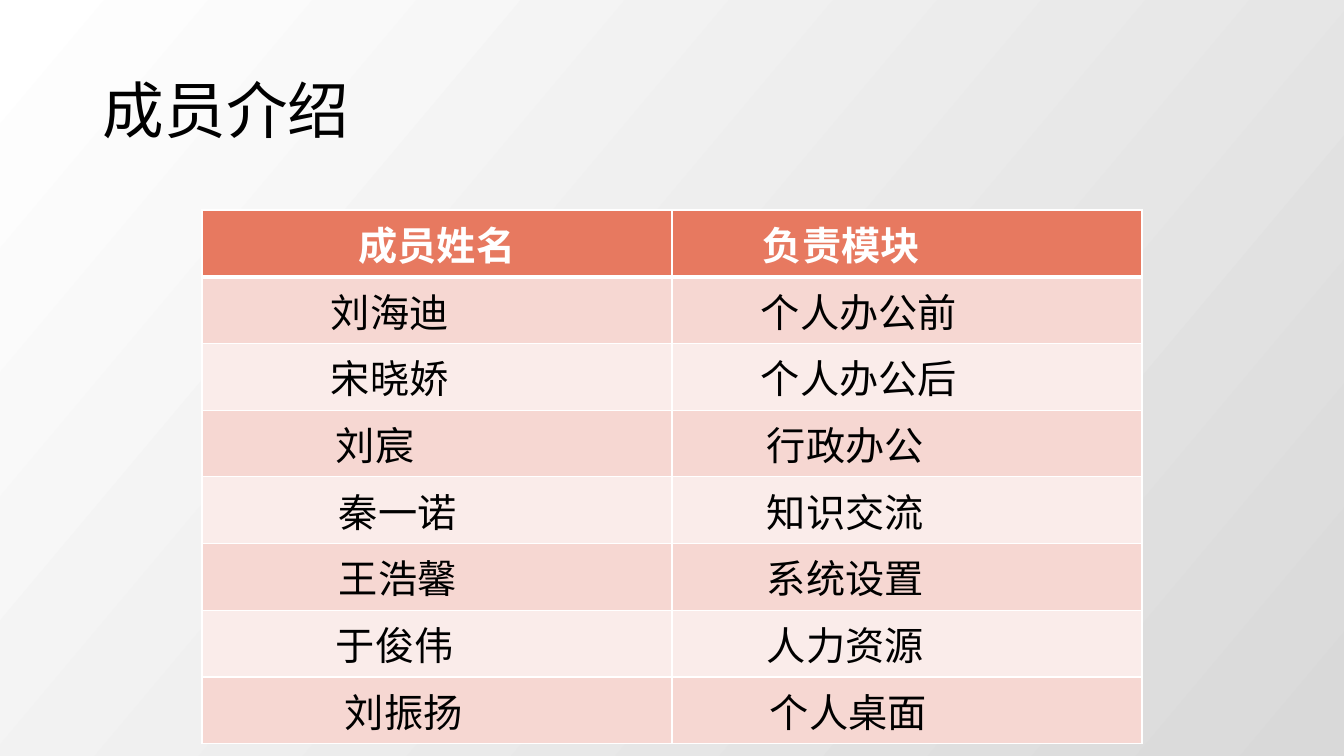
import pptx
import pptx.util
import pptx.dml.color
import pptx.enum.text
import pptx.oxml
import pptx.oxml.ns

PX = 9144000 / 1008  # EMU in one px
PAD = 10
WHITE, BLACK = "FFFFFF", "000000"
HEAD, BANDS = "E77960", ("F6D7D2", "FAECEA")

# Name, its indent, module, its indent (px)
TEAM = [
    ("刘海迪", 119, "个人办公前", 79),
    ("宋晓娇", 119, "个人办公后", 79),
    ("刘宸", 124, "行政办公", 85),
    ("秦一诺", 127, "知识交流", 85),
    ("王浩馨", 127, "系统设置", 85),
    ("于俊伟", 124, "人力资源", 85),
    ("刘振扬", 133, "个人桌面", 88),
]


def px(num):
    return pptx.util.Emu(round(num * PX))


def rgb(code):
    return pptx.dml.color.RGBColor.from_string(code)


def style(para, size, code, bold=False):
    for run in para.runs:
        font = run.font
        font.name = "Arial"
        font.size = pptx.util.Pt(size)
        font.bold = bold
        font.color.rgb = rgb(code)


def paint(slide):
    fill = slide.background.fill
    fill.gradient()
    fill.gradient_angle = 320
    for stop, code in zip(fill.gradient_stops, (WHITE, "D9D9D9")):
        stop.color.rgb = rgb(code)


def title(slide, text, left, top, width, height):
    box = slide.shapes.add_textbox(px(left), px(top), px(width), px(height))
    frame = box.text_frame
    frame.word_wrap = True
    frame.vertical_anchor = pptx.enum.text.MSO_ANCHOR.MIDDLE
    frame.text = text
    para = frame.paragraphs[0]
    para.line_spacing = 0.9
    style(para, 44, BLACK)


def edge(cell, widths):
    props = cell._tc.get_or_add_tcPr()
    for spot, (side, width) in enumerate(widths.items()):
        line = pptx.oxml.parse_xml(
            f'<a:ln{side} {pptx.oxml.ns.nsdecls("a")} w="{pptx.util.Pt(width)}">'
            f'<a:solidFill><a:srgbClr val="{WHITE}"/></a:solidFill></a:ln{side}>'
        )
        props.insert(spot, line)


def entry(cell, text, indent, fill, code, over=1, under=1, bold=False):
    cell.margin_left = px(PAD + indent)
    cell.text_frame.text = text
    style(cell.text_frame.paragraphs[0], 28, code, bold)
    cell.fill.solid()
    cell.fill.fore_color.rgb = rgb(fill)
    edge(cell, {"L": 1, "R": 1, "T": over, "B": under})


def roster(slide, left, top, width, height):
    frame = slide.shapes.add_table(
        len(TEAM) + 1, 2, px(left), px(top), px(width), px(height)
    )
    table = frame.table
    table.horz_banding = False

    # Header row
    for col, (text, indent) in enumerate((("成员姓名", 0), ("负责模块", 81))):
        entry(table.cell(0, col), text, indent, HEAD, WHITE, under=3, bold=True)
    first = table.cell(0, 0).text_frame.paragraphs[0]
    first.alignment = pptx.enum.text.PP_ALIGN.CENTER

    # Member rows in alternating tints, below the thick header rule
    for row, (name, inset, part, shift) in enumerate(TEAM, 1):
        fill = BANDS[(row - 1) % 2]
        over = 3 if row == 1 else 1
        entry(table.cell(row, 0), name, inset, fill, BLACK, over)
        entry(table.cell(row, 1), part, shift, fill, BLACK, over)


def main():
    deck = pptx.Presentation()
    deck.slide_width, deck.slide_height = px(1344), px(756)
    slide = deck.slides.add_slide(deck.slide_layouts[6])
    paint(slide)
    title(slide, "成员介绍", 93, 41, 1159, 146)
    roster(slide, 202, 210, 940, 534)
    deck.save("out.pptx")


if __name__ == "__main__":
    main()
